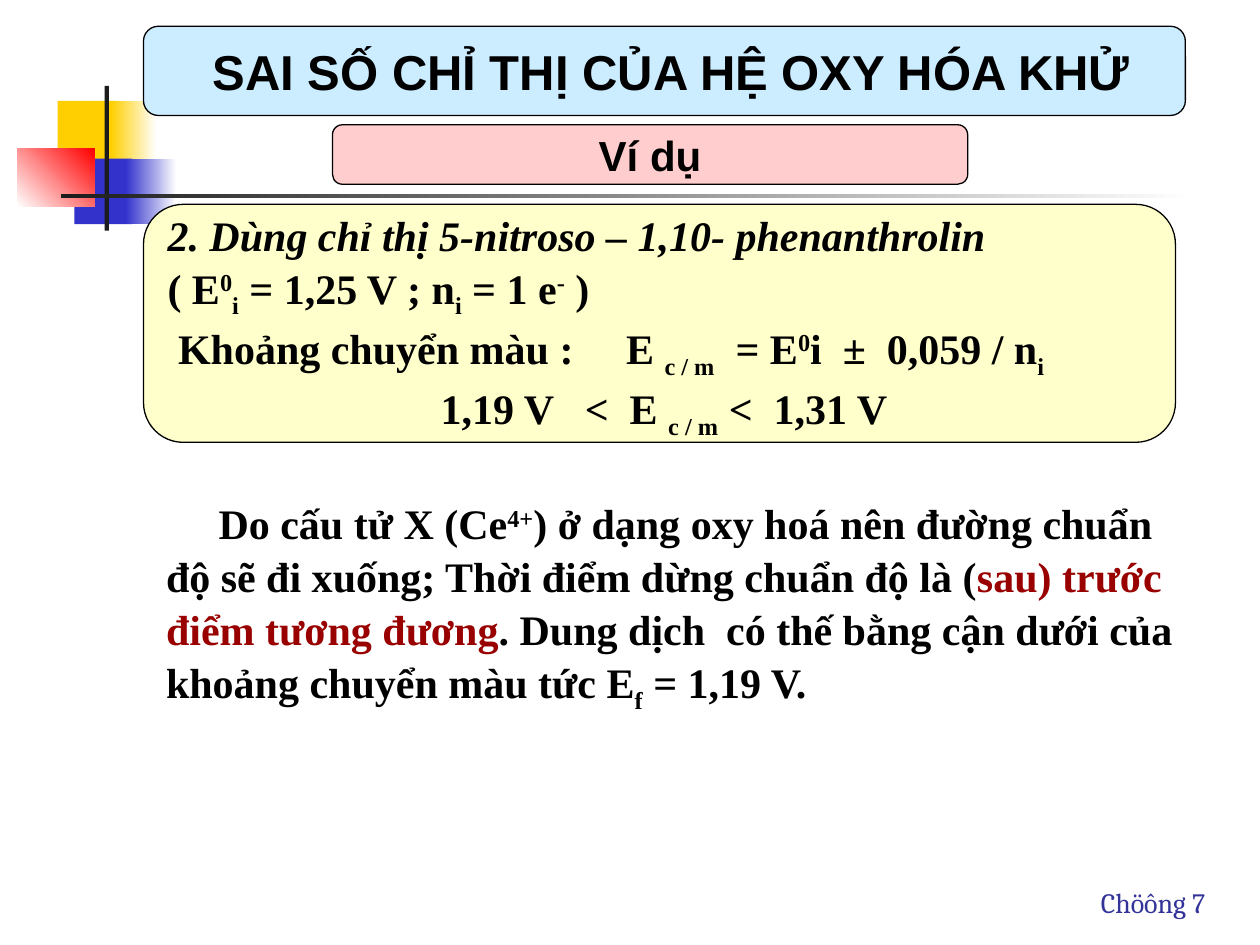
from lxml import etree
from pptx import Presentation
from pptx.dml.color import RGBColor
from pptx.enum.shapes import MSO_SHAPE
from pptx.enum.text import MSO_ANCHOR, PP_ALIGN
from pptx.oxml.ns import qn
from pptx.util import Pt

RECTANGLE = MSO_SHAPE.RECTANGLE
ROUNDED = MSO_SHAPE.ROUNDED_RECTANGLE
MIDDLE = MSO_ANCHOR.MIDDLE
LEFT, CENTER = PP_ALIGN.LEFT, PP_ALIGN.CENTER
SUPER, SUB = 30, -25
BLACK, WHITE, DARK = "000000", "FFFFFF", "1C1C1C"
YELLOW, BLUE, RED, CRIMSON = "FFCF01", "3333CC", "FF0000", "990000"


def color(value):
    """Turn a hex string into a colour."""
    return RGBColor.from_string(value)


def add_run(paragraph, text, font="Times New Roman", size=24, fill=BLACK,
            bold=True, italic=False, baseline=0):
    """Append formatted text to a paragraph."""
    run = paragraph.add_run()
    run.text = text
    run.font.name, run.font.size = font, Pt(size)
    run.font.bold, run.font.italic = bold, italic
    run.font.color.rgb = color(fill)
    if baseline:
        run._r.get_or_add_rPr().set("baseline", str(baseline * 1000))


def set_tabs(paragraph, positions):
    """Set left tab stops on a paragraph."""
    tab_list = etree.SubElement(paragraph._p.get_or_add_pPr(), qn("a:tabLst"))
    for position in positions:
        etree.SubElement(tab_list, qn("a:tab"), pos=str(Pt(position)), algn="l")


class SlideBuilder:
    """Hold the slide and its shared style."""

    def __init__(self, slide):
        """Keep the current slide."""
        self.slide = slide

    def block(self, box, start, end=None, angle=0):
        """Add a plain or gradient rectangle."""
        shape = self.slide.shapes.add_shape(RECTANGLE, *map(Pt, box))
        shape.shadow.inherit = False
        shape.line.fill.background()
        if end is None:
            shape.fill.solid()
            shape.fill.fore_color.rgb = color(start)
        else:
            shape.fill.gradient()
            shape.fill.gradient_angle = angle
            for stop, value in zip(shape.fill.gradient_stops, (start, end)):
                stop.color.rgb = color(value)

    def panel(self, box, fill, lines, **options):
        """Add a rounded panel with text."""
        shape = self.slide.shapes.add_shape(ROUNDED, *map(Pt, box))
        shape.shadow.inherit = False
        shape.adjustments[0] = 0.167
        shape.fill.solid()
        shape.fill.fore_color.rgb = color(fill)
        shape.line.color.rgb = color(BLACK)
        shape.line.width = Pt(0.75)
        self.fill_text(shape, lines, **options)

    def label(self, box, lines, **options):
        """Add a text box."""
        self.fill_text(self.slide.shapes.add_textbox(*map(Pt, box)), lines, **options)

    def fill_text(self, shape, lines, align=LEFT, spacing=1, indent=0, tabs=(), **style):
        """Fill a shape with lines made of runs."""
        frame = shape.text_frame
        frame.word_wrap = True
        frame.vertical_anchor = MIDDLE
        for index, runs in enumerate(lines):
            paragraph = frame.paragraphs[0] if index == 0 else frame.add_paragraph()
            paragraph.alignment = align
            paragraph.line_spacing = spacing
            if indent:
                paragraph._p.get_or_add_pPr().set("indent", str(Pt(indent)))
            if index < len(tabs) and tabs[index]:
                set_tabs(paragraph, tabs[index])
            for text, changes in runs:
                add_run(paragraph, text, **{**style, **changes})


def plain(text):
    """Make a run in the base style."""
    return text, {}


def raised(text):
    """Make a superscript run."""
    return text, {"baseline": SUPER}


def lowered(text):
    """Make a subscript run."""
    return text, {"baseline": SUB}


presentation = Presentation()
presentation.slide_width, presentation.slide_height = Pt(720), Pt(540)
builder = SlideBuilder(presentation.slides.add_slide(presentation.slide_layouts[6]))

for block in (
    ((33, 57.6, 34.5, 37.4), YELLOW),
    ((63.4, 57.6, 26, 37.4), YELLOW, WHITE),
    ((42.5, 90.7, 33, 37.4), BLUE),
    ((72, 90.7, 28.8, 37.4), BLUE, WHITE),
    ((10, 85, 44, 33), WHITE, RED, 45),
    ((59.8, 49, 2.4, 82.8), DARK),
    ((34.6, 110.9, 648, 2.4), DARK, WHITE),
):
    builder.block(*block)

builder.label((622, 502.6, 83.5, 26.6), [[plain("Chöông 7")]],
              font="Cambria", size=16, fill="333399", bold=False)

builder.panel((82, 116.8, 589.7, 136), "FFFFCC", [
    [("2. Dùng chỉ thị 5-nitroso – 1,10- phenanthrolin", {"italic": True})],
    [plain("( E"), raised("0"), lowered("i"), plain(" = 1,25 V ; n"), lowered("i"),
     plain(" = 1 e"), raised("-"), plain(" )")],
    [plain("\tKhoảng chuyển màu :\tE "), lowered("c / m"), plain("  = E"), raised("0"),
     plain("i  ±  0,059 / n"), lowered("i")],
    [plain("\t1,19 V   <  E "), lowered("c / m"), plain(" <  1,31 V")],
], spacing=1.05, tabs=((), (), (6, 262), (156,)))

builder.label((87.8, 281.5, 589.7, 128.2), [[
    plain("Do cấu tử X (Ce"), raised("4+"),
    plain(") ở dạng oxy hoá nên đường chuẩn độ sẽ đi xuống; "
          "Thời điểm dừng chuẩn độ là ("),
    ("sau) trước điểm tương đương", {"fill": CRIMSON}),
    plain(". Dung dịch  có thế bằng cận dưới của khoảng chuyển màu tức E"),
    lowered("f"), plain(" = 1,19 V."),
]], spacing=1.05, indent=30)

builder.panel((190, 71.3, 363, 34), "FFCDCD", [[plain("Ví dụ")]],
              align=CENTER, font="Arial")
builder.panel((82, 15, 595.4, 51), "CCECFF",
              [[plain(" SAI SỐ CHỈ THỊ CỦA HỆ OXY HÓA KHỬ")]],
              align=CENTER, font="Arial", size=28)

presentation.save("out.pptx")
